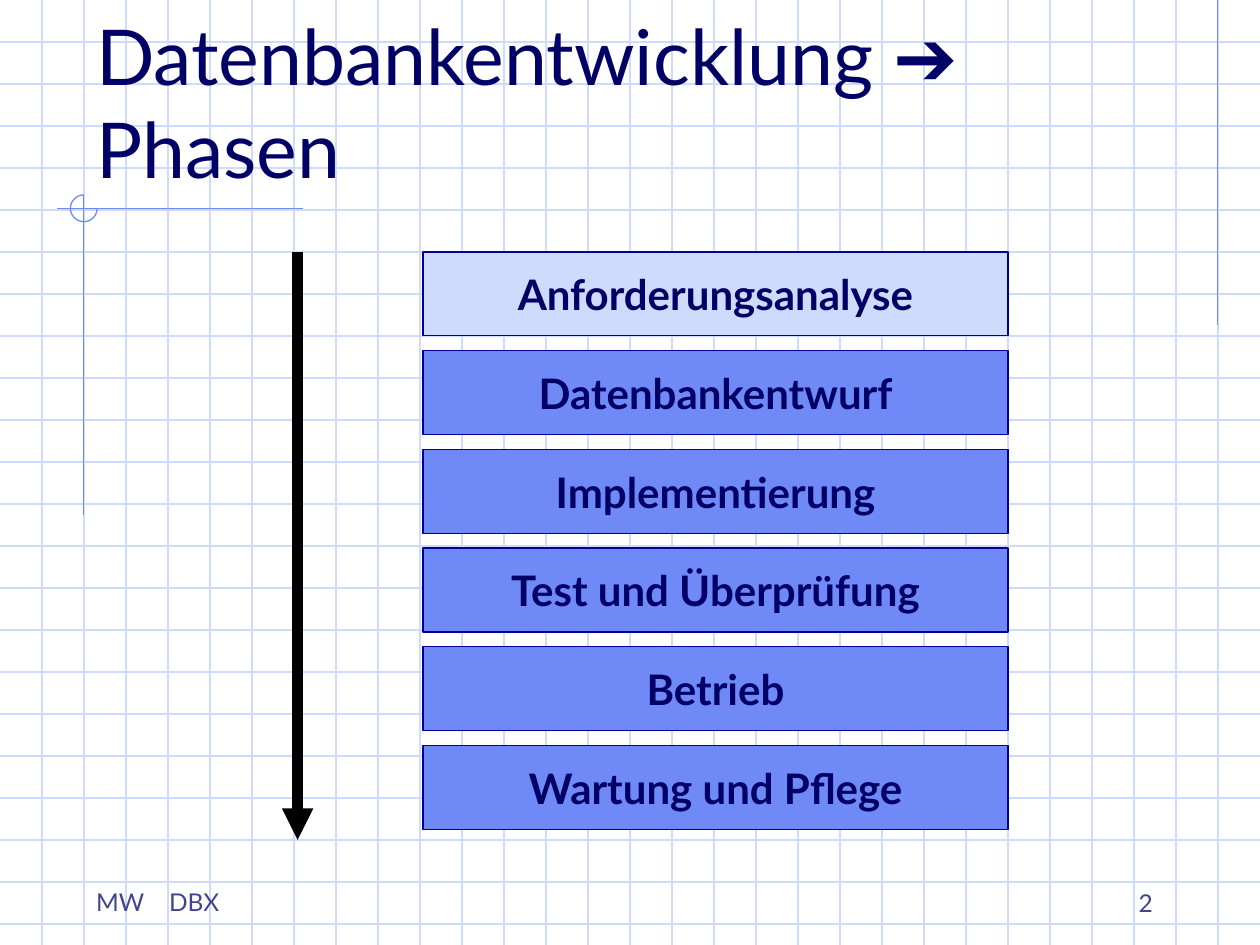
from dataclasses import dataclass

from lxml.etree import SubElement as Sub
from pptx import Presentation
from pptx.dml.color import RGBColor as Rgb
from pptx.enum.shapes import MSO_CONNECTOR as Link, MSO_SHAPE as Kind
from pptx.enum.text import MSO_ANCHOR as Anchor, PP_ALIGN as Align
from pptx.oxml.ns import qn
from pptx.util import Cm, Pt


@dataclass(frozen=True)
class Theme:
    grid: str = "CFDBFD"
    blue: str = "6F89F7"
    edge: str = "000099"
    ink: str = "000066"
    foot: str = "40458C"
    black: str = "000000"
    font: str = "Lato"
    sign: str = "Arial"
    head: int = 44
    body: int = 24
    small: int = 14
    thin: float = 0.75
    thick: int = 6


T = Theme()
WIDE, HIGH = 25.4, 19.05
STEP = WIDE / 30
PHASES = (
    "Anforderungsanalyse",
    "Datenbankentwurf",
    "Implementierung",
    "Test und Überprüfung",
    "Betrieb",
    "Wartung und Pflege",
)


def style(run, size, color, bold=False, face=T.font):
    font = run.font
    font.name, font.size, font.bold = face, Pt(size), bold
    font.color.rgb = Rgb.from_string(color)


def line(slide, ends, color, width=T.thin):
    rule = slide.shapes.add_connector(Link.STRAIGHT, *map(Cm, ends))
    rule.line.color.rgb = Rgb.from_string(color)
    rule.line.width = Pt(width)
    Sub(rule._element.spPr, qn("a:effectLst"))
    return rule


def arrow(slide, ends):
    rule = line(slide, ends, T.black, T.thick)
    Sub(rule.line._get_or_add_ln(), qn("a:tailEnd"), type="triangle")


def shape(slide, kind, area, color):
    item = slide.shapes.add_shape(kind, *map(Cm, area))
    item.shadow.inherit = False
    item.line.color.rgb = Rgb.from_string(color)
    item.line.width = Pt(T.thin)
    return item


def label(slide, area, text, size, color, anchor=Anchor.BOTTOM):
    frame = slide.shapes.add_textbox(*map(Cm, area)).text_frame
    frame.word_wrap = True
    frame.vertical_anchor = anchor
    para = frame.paragraphs[0]
    para.text = text
    style(para.runs[0], size, color)
    return para


def grid(slide):
    for row in range(1, 23):
        line(slide, (0, row * STEP, WIDE, row * STEP), T.grid)
    for col in range(1, 30):
        line(slide, (col * STEP, 0, col * STEP, HIGH), T.grid)


def trim(slide):
    line(slide, (24.55, 0, 24.55, 6.55), T.blue)
    line(slide, (6.1, 4.21, 1.14, 4.21), T.blue)
    line(slide, (1.69, 3.93, 1.69, 10.39), T.blue)
    ring = shape(slide, Kind.ARC, (1.42, 3.93, 0.54, 0.54), T.blue)
    ring.fill.background()
    ring.adjustments[0] = 0
    ring.adjustments[1] = 162


def title(slide):
    para = label(slide, (1.69, 0.85, 21.59, 3.18),
                 "Datenbankentwicklung ", T.head, T.ink)
    sign = para.add_run()
    sign.text = "➔"
    style(sign, T.head, T.ink, face=T.sign)
    para.add_line_break()
    word = para.add_run()
    word.text = "Phasen"
    style(word, T.head, T.ink)


def phase(slide, top, text, fill):
    box = shape(slide, Kind.RECTANGLE, (8.53, top, 11.79, 1.69), T.edge)
    box.fill.solid()
    box.fill.fore_color.rgb = Rgb.from_string(fill)
    frame = box.text_frame
    frame.word_wrap = False
    frame.vertical_anchor = Anchor.MIDDLE
    para = frame.paragraphs[0]
    para.text = text
    para.alignment = Align.CENTER
    style(para.runs[0], T.body, T.ink, bold=True)


def footer(slide):
    para = label(slide, (1.69, 17.75, 5.72, 0.86), "MW\tDBX",
                 T.small, T.foot, Anchor.TOP)
    tabs = Sub(para._p.get_or_add_pPr(), qn("a:tabLst"))
    Sub(tabs, qn("a:tab"), pos=str(Cm(1.47)), algn="l")
    page = label(slide, (18.2, 17.35, 5.29, 1.27), "2", T.small, T.foot)
    page.alignment = Align.RIGHT


def main():
    deck = Presentation()
    deck.slide_width, deck.slide_height = Cm(WIDE), Cm(HIGH)
    slide = deck.slides.add_slide(deck.slide_layouts[6])
    grid(slide)
    trim(slide)
    title(slide)
    for row, text in enumerate(PHASES):
        phase(slide, 5.08 + row * 1.99, text, T.blue if row else T.grid)
    arrow(slide, (6, 5.08, 6, 16.93))
    footer(slide)
    deck.save("out.pptx")


if __name__ == "__main__":
    main()
